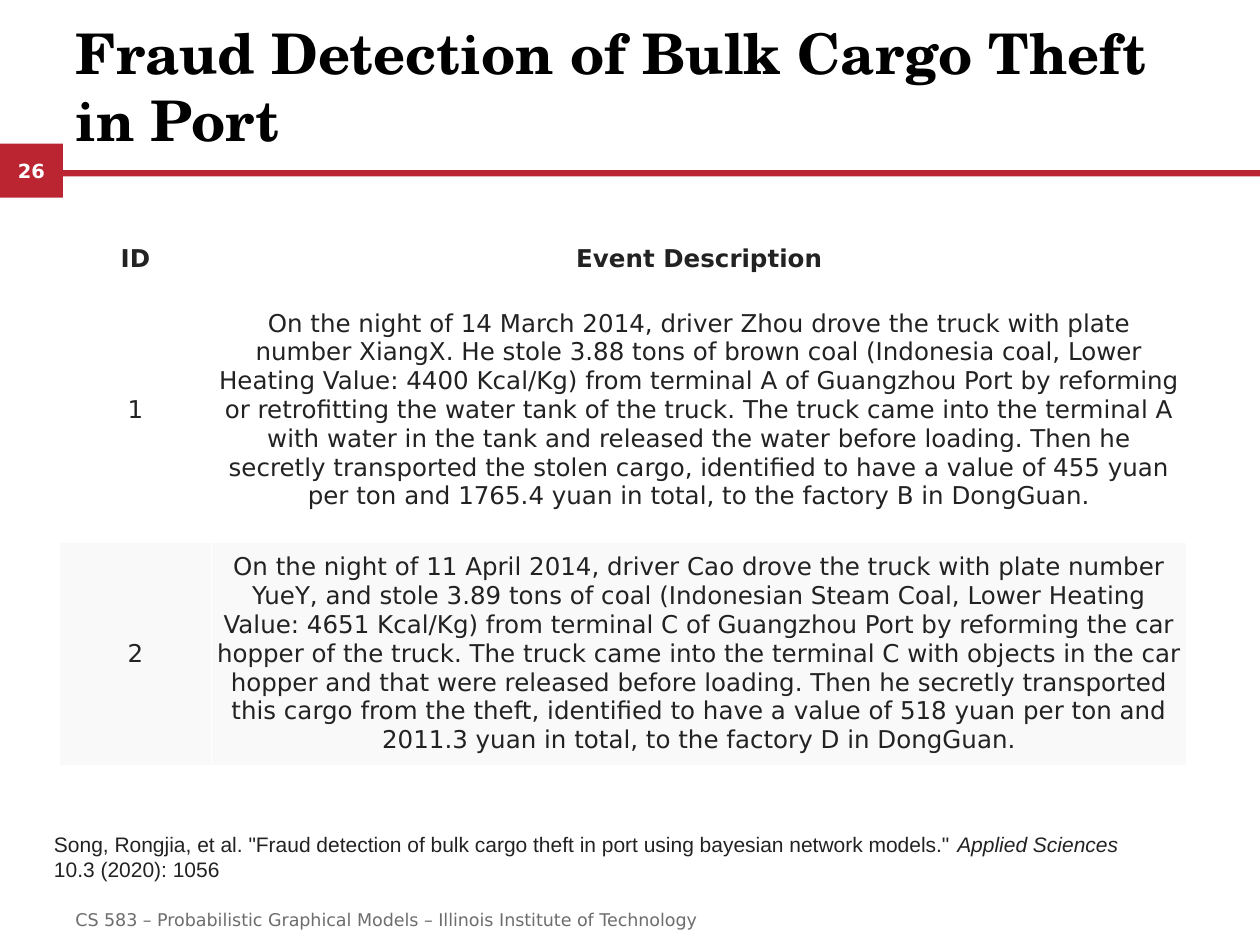
from dataclasses import dataclass

from lxml import etree
from pptx import Presentation
from pptx import util as u
from pptx.dml.color import RGBColor
from pptx.enum import shapes, text
from pptx.oxml.ns import qn


@dataclass(frozen=True)
class Theme:
    red: str = "BB2532"
    white: str = "FFFFFF"
    black: str = "000000"
    ink: str = "222222"
    gray: str = "6D6D6D"
    band: str = "F9F9F9"
    heading_font: str = "TeX Gyre Schola"
    body_font: str = "DejaVu Sans"
    citation_font: str = "Arial"
    title_size: float = 32
    table_size: float = 14
    citation_size: float = 12
    number_size: float = 11.1
    footer_size: float = 10


THEME = Theme()
CENTER = text.PP_ALIGN.CENTER
MIDDLE = text.MSO_ANCHOR.MIDDLE
TOP = text.MSO_ANCHOR.TOP
BOTTOM = text.MSO_ANCHOR.BOTTOM

EVENTS = [
    ("ID", "Event Description"),
    ("1", "On the night of 14 March 2014, driver Zhou drove the truck with plate "
          "number XiangX. He stole 3.88 tons of brown coal (Indonesia coal, Lower "
          "Heating Value: 4400 Kcal/Kg) from terminal A of Guangzhou Port by "
          "reforming or retrofitting the water tank of the truck. The truck came "
          "into the terminal A with water in the tank and released the water before "
          "loading. Then he secretly transported the stolen cargo, identified to "
          "have a value of 455 yuan per ton and 1765.4 yuan in total, to the "
          "factory B in DongGuan."),
    ("2", "On the night of 11 April 2014, driver Cao drove the truck with plate "
          "number YueY, and stole 3.89 tons of coal (Indonesian Steam Coal, Lower "
          "Heating Value: 4651 Kcal/Kg) from terminal C of Guangzhou Port by "
          "reforming the car hopper of the truck. The truck came into the terminal C "
          "with objects in the car hopper and that were released before loading. "
          "Then he secretly transported this cargo from the theft, identified to "
          "have a value of 518 yuan per ton and 2011.3 yuan in total, to the "
          "factory D in DongGuan."),
]
COLUMN_WIDTHS = (1.21, 7.74)
ROW_HEIGHTS = (0.31, 2.1, 1.77)
ROW_FILLS = (THEME.white, THEME.white, THEME.band)


def inches(*values):
    return [u.Inches(value) for value in values]


def set_values(target, values):
    for name, value in values.items():
        setattr(target, name, value)


def write(paragraph, content, font, size, color, **style):
    run = paragraph.add_run()
    run.text = content
    set_values(run.font, {"name": font, "size": u.Pt(size), **style})
    run.font.color.rgb = RGBColor.from_string(color)


def add_bar(slide, *box):
    shape = slide.shapes.add_shape(shapes.MSO_SHAPE.RECTANGLE, *inches(*box))
    shape.shadow.inherit = False
    shape.fill.solid()
    shape.fill.fore_color.rgb = RGBColor.from_string(THEME.red)
    shape.line.fill.background()
    return shape


def add_text(slide, box, anchor):
    frame = slide.shapes.add_textbox(*inches(*box)).text_frame
    set_values(frame, {"word_wrap": True, "vertical_anchor": anchor})
    return frame.paragraphs[0]


def set_cell_borders(cell, color, width):
    properties = cell._tc.get_or_add_tcPr()
    for index, side in enumerate(("a:lnT", "a:lnB")):
        line = etree.Element(qn(side), w=str(u.Pt(width)))
        fill = etree.SubElement(line, qn("a:solidFill"))
        etree.SubElement(fill, qn("a:srgbClr"), val=color)
        properties.insert(index, line)


def add_event_table(slide, left, top):
    table = slide.shapes.add_table(
        len(EVENTS), len(COLUMN_WIDTHS),
        *inches(left, top, sum(COLUMN_WIDTHS), sum(ROW_HEIGHTS))).table
    for column, width in zip(table.columns, COLUMN_WIDTHS):
        column.width = u.Inches(width)
    for row_index, (row, height) in enumerate(zip(table.rows, ROW_HEIGHTS)):
        row.height = u.Inches(height)
        header = row_index == 0
        for cell, content in zip(row.cells, EVENTS[row_index]):
            set_values(cell, {
                "vertical_anchor": MIDDLE,
                "margin_left": u.Inches(0.04),
                "margin_right": u.Inches(0.04),
                "margin_top": u.Inches(0.05 if header else 0.03),
                "margin_bottom": u.Inches(0.03),
            })
            cell.fill.solid()
            cell.fill.fore_color.rgb = RGBColor.from_string(ROW_FILLS[row_index])
            set_cell_borders(cell, THEME.white, 0.75)
            paragraph = cell.text_frame.paragraphs[0]
            paragraph.alignment = CENTER
            write(paragraph, content, THEME.body_font, THEME.table_size,
                  THEME.ink, bold=header)


def main():
    presentation = Presentation()
    set_values(presentation, {"slide_width": u.Inches(10),
                              "slide_height": u.Inches(7.5)})
    slide = presentation.slides.add_slide(presentation.slide_layouts[6])

    # Slide number and rule
    number = add_bar(slide, 0, 1.14, 0.5, 0.43).text_frame
    set_values(number, {"vertical_anchor": MIDDLE, "word_wrap": False})
    number.paragraphs[0].alignment = CENTER
    write(number.paragraphs[0], "26", THEME.body_font, THEME.number_size,
          THEME.white, bold=True)
    add_bar(slide, 0.5, 1.35, 9.5, 0.05)

    # Title
    title = add_text(slide, (0.5, 0.38, 9, 0.88), BOTTOM)
    write(title, "Fraud Detection of Bulk Cargo Theft in Port",
          THEME.heading_font, THEME.title_size, THEME.black, bold=True)

    # Events
    add_event_table(slide, 0.47, 1.89)

    # Citation
    citation = add_text(slide, (0.33, 6.55, 8.75, 0.5), TOP)
    for content, italic in (
            ('Song, Rongjia, et al. "Fraud detection of bulk cargo theft in port '
             'using bayesian network models." ', False),
            ("Applied Sciences", True),
            (" 10.3 (2020): 1056", False)):
        write(citation, content, THEME.citation_font, THEME.citation_size,
              THEME.ink, italic=italic)

    # Footer
    footer = add_text(slide, (0.5, 7.1, 8.17, 0.4), MIDDLE)
    write(footer,
          "CS 583 – Probabilistic Graphical Models – Illinois Institute of Technology",
          THEME.body_font, THEME.footer_size, THEME.gray)

    presentation.save("out.pptx")


if __name__ == "__main__":
    main()
